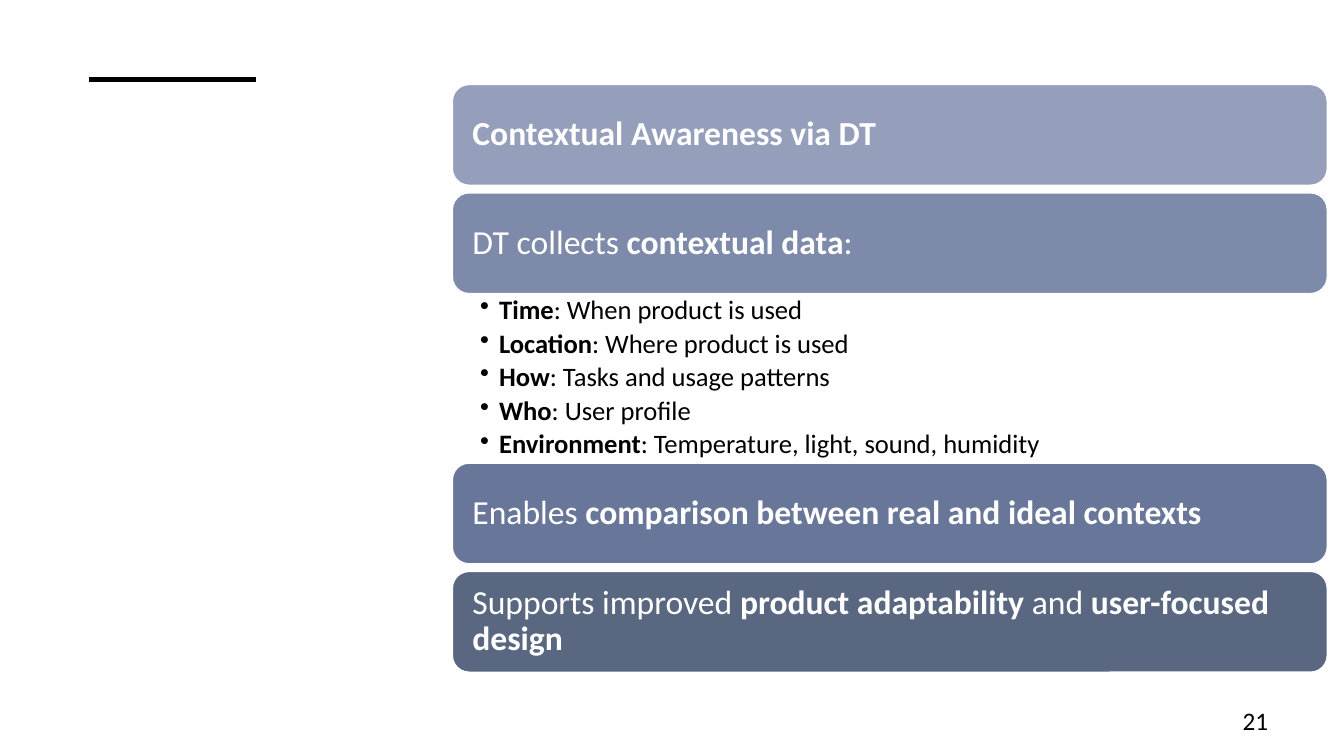
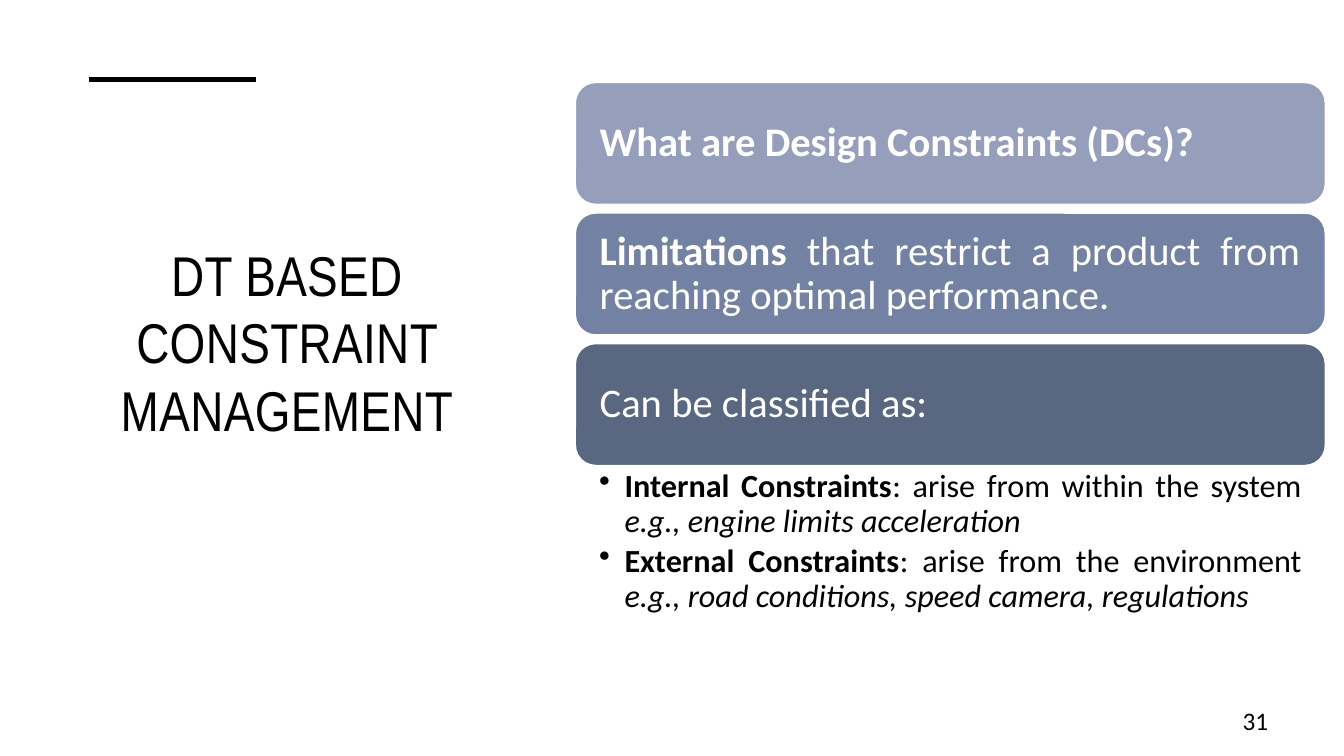
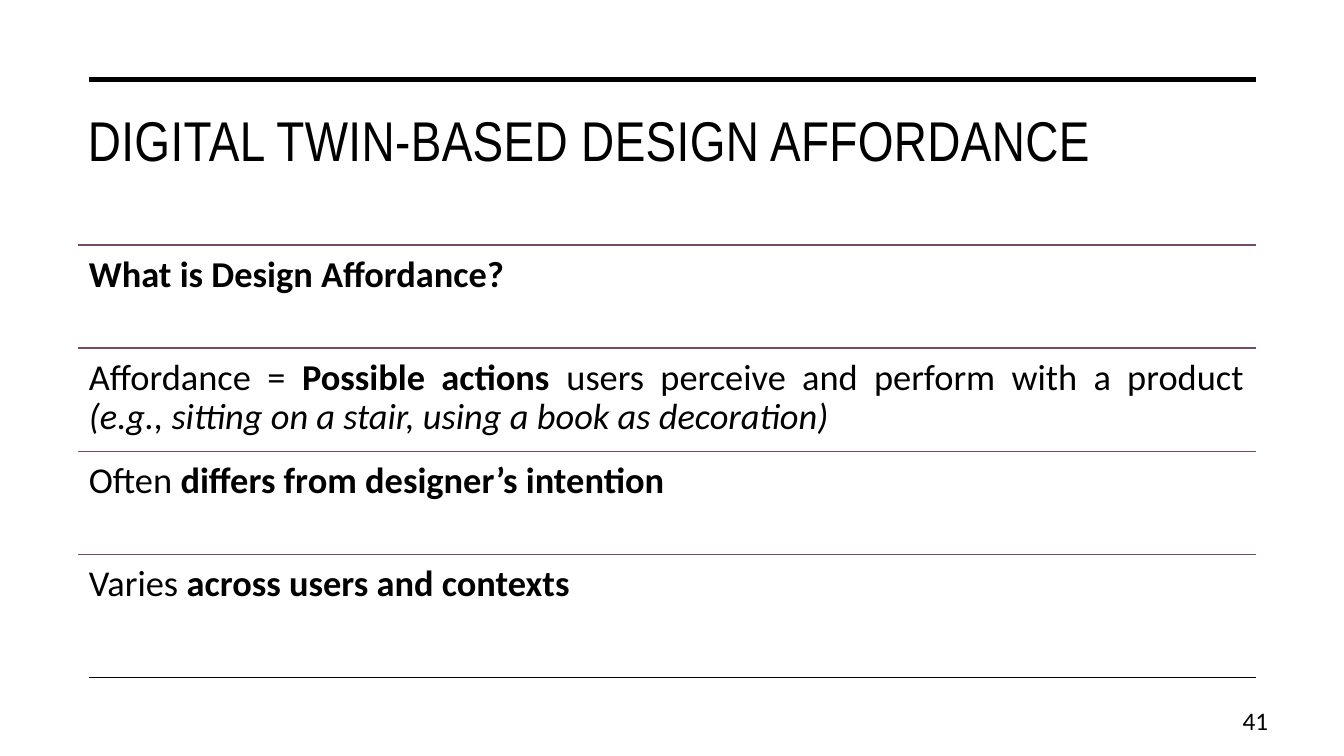
import pptx
import pptx.dml.color
import pptx.enum.shapes
import pptx.enum.text
import pptx.oxml.ns
import pptx.util
from lxml import etree

Cm = pptx.util.Cm
Pt = pptx.util.Pt
RGBColor = pptx.dml.color.RGBColor
Align = pptx.enum.text.PP_ALIGN
Anchor = pptx.enum.text.MSO_ANCHOR
qn = pptx.oxml.ns.qn

BLACK = RGBColor(0x00, 0x00, 0x00)
WHITE = RGBColor(0xFF, 0xFF, 0xFF)
LAVENDER = RGBColor(0x95, 0x9E, 0xBB)
BLUE_GREY = RGBColor(0x7E, 0x8A, 0xAA)
STEEL = RGBColor(0x73, 0x81, 0xA2)
INDIGO = RGBColor(0x68, 0x77, 0x99)
SLATE = RGBColor(0x59, 0x67, 0x81)
PLUM = RGBColor(0x73, 0x4B, 0x67)

TITLE_ONLY, BLANK = 5, 6
MARGIN_LEFT, MARGIN_RIGHT = 2.24, 31.65
ROW_LEFT = 1.96


def write(para, text, size=18, color=BLACK, font="Calibri", align=Align.LEFT, line_spacing=0.9):
    """Write text in a paragraph, with *bold* and _italic_ marks and line breaks."""
    para.alignment = align
    para.line_spacing = line_spacing
    for line_index, line in enumerate(text.split("\n")):
        if line_index:
            para.add_line_break()
        for bold_index, part in enumerate(line.split("*")):
            for italic_index, piece in enumerate(part.split("_")):
                if piece:
                    span = para.add_run()
                    span.text = piece
                    span.font.name = font
                    span.font.size = Pt(size)
                    span.font.color.rgb = color
                    span.font.bold = bold_index % 2 == 1
                    span.font.italic = italic_index % 2 == 1


class Deck:
    """Hold the shared style and the current slide."""

    def __init__(self):
        self.file = pptx.Presentation()
        self.file.slide_width = Cm(33.87)
        self.file.slide_height = Cm(19.05)
        self.page = None

    def new_page(self, number, layout=TITLE_ONLY, rule_right=6.45):
        """Start a slide with its top rule and page number."""
        self.page = self.file.slides.add_slide(self.file.slide_layouts[layout])
        self.rule(MARGIN_LEFT, rule_right, 2.01, weight=3.5)
        frame = self.text_box(30.33, 17.65, 1.88, 1.02, (0.25, 0.13, 0.25, 0.13))
        frame.vertical_anchor = Anchor.MIDDLE
        write(frame.paragraphs[0], str(number), align=Align.RIGHT, line_spacing=1.0)

    def title(self, text, left, top, width, height, align=Align.LEFT):
        """Place and format the title placeholder."""
        box = self.page.shapes.title
        box.left, box.top, box.width, box.height = Cm(left), Cm(top), Cm(width), Cm(height)
        frame = box.text_frame
        frame.auto_size = pptx.enum.text.MSO_AUTO_SIZE.NONE
        frame.word_wrap = True
        frame.vertical_anchor = Anchor.TOP
        para = frame.paragraphs[0]
        write(para, text, size=40, font="Arial Narrow", align=align, line_spacing=1.0)
        for span in para.runs:
            span.font._element.set("spc", "30")

    def rule(self, left, right, top, color=BLACK, weight=1):
        """Draw a horizontal line."""
        line = self.page.shapes.add_connector(
            pptx.enum.shapes.MSO_CONNECTOR.STRAIGHT, Cm(left), Cm(top), Cm(right), Cm(top))
        line.line.color.rgb = color
        line.line.width = Pt(weight)
        etree.SubElement(line._element.spPr, qn("a:effectLst"))

    def set_insets(self, frame, insets):
        """Wrap a text frame and set its left, top, right and bottom insets."""
        frame.word_wrap = True
        (frame.margin_left, frame.margin_top,
         frame.margin_right, frame.margin_bottom) = [Cm(inset) for inset in insets]

    def text_box(self, left, top, width, height, insets):
        """Add a text box and return its frame."""
        box = self.page.shapes.add_textbox(Cm(left), Cm(top), Cm(width), Cm(height))
        self.set_insets(box.text_frame, insets)
        return box.text_frame

    def card(self, text, left, top, width, height, fill, size, align=Align.LEFT):
        """Add a rounded card with white text."""
        box = self.page.shapes.add_shape(
            pptx.enum.shapes.MSO_SHAPE.ROUNDED_RECTANGLE,
            Cm(left), Cm(top), Cm(width), Cm(height))
        box.shadow.inherit = False
        box.fill.solid()
        box.fill.fore_color.rgb = fill
        box.line.color.rgb = WHITE
        box.line.width = Pt(1)
        inset = size * 0.016
        self.set_insets(box.text_frame, [inset] * 4)
        box.text_frame.vertical_anchor = Anchor.MIDDLE
        write(box.text_frame.paragraphs[0], text, size=size, color=WHITE, align=align)

    def cards(self, items, left, top, width, height, gap, size):
        """Stack cards of (text, fill, align) and return the bottom edge."""
        for index, (text, fill, align) in enumerate(items):
            card_top = top + index * (height + gap)
            self.card(text, left, card_top, width, height, fill, size, align)
        return card_top + height

    def bullets(self, texts, left, top, width, height, insets, size, indent, align=Align.LEFT):
        """Add a bulleted list."""
        frame = self.text_box(left, top, width, height, insets)
        for index, text in enumerate(texts):
            para = frame.add_paragraph() if index else frame.paragraphs[0]
            properties = para._p.get_or_add_pPr()
            properties.set("marL", str(Cm(indent)))
            properties.set("indent", str(-Cm(indent)))
            etree.SubElement(properties, qn("a:buChar")).set("char", "•")
            para.space_after = Pt(size * 0.18)
            write(para, text, size=size, align=align)

    def rows(self, items, top, pitch):
        """Add ruled rows of (text, align)."""
        for index, (text, align) in enumerate(items):
            row_top = top + index * pitch
            self.rule(ROW_LEFT, MARGIN_RIGHT, row_top, color=PLUM)
            frame = self.text_box(ROW_LEFT, row_top, MARGIN_RIGHT - ROW_LEFT, pitch, [0.28] * 4)
            write(frame.paragraphs[0], text, size=26, align=align)


def context_page(deck):
    """Build the contextual awareness slide."""
    deck.new_page(21, layout=BLANK)
    left, width, height, gap, size = 11.4, 22.05, 2.54, 0.19, 24
    list_height = 4.27
    list_top = deck.cards([
        ("*Contextual Awareness via DT*", LAVENDER, Align.LEFT),
        ("DT collects *contextual data*:", BLUE_GREY, Align.LEFT),
    ], left, 2.13, width, height, gap, size)
    deck.bullets([
        "*Time*: When product is used",
        "*Location*: Where product is used",
        "*How*: Tasks and usage patterns",
        "*Who*: User profile",
        "*Environment*: Temperature, light, sound, humidity",
    ], left, list_top, width, list_height, (0.7, 0.08, 0.48, 0.08), size=19, indent=0.48)
    deck.cards([
        ("Enables *comparison between real and ideal contexts*", INDIGO, Align.LEFT),
        ("Supports improved *product adaptability* and *user-focused design*", SLATE, Align.LEFT),
    ], left, list_top + list_height, width, height, gap, size)


def constraint_page(deck):
    """Build the constraint management slide."""
    deck.new_page(31)
    deck.title("DT BASED CONSTRAINT MANAGEMENT", 1.8, 5.94, 10.87, 5.59, align=Align.CENTER)
    left, width = 14.5, 18.9
    list_top = deck.cards([
        ("*What are Design Constraints (DCs)?*", LAVENDER, Align.LEFT),
        ("*Limitations* that restrict a product from reaching optimal performance.",
         STEEL, Align.JUSTIFY),
        ("Can be classified as:", SLATE, Align.LEFT),
    ], left, 2.08, width, height=3.07, gap=0.22, size=29)
    deck.bullets([
        "*Internal Constraints*: arise from within the system\n"
        "_e.g., engine limits acceleration_",
        "*External Constraints*: arise from the environment\n"
        "_e.g., road conditions, speed camera, regulations_",
    ], left, list_top, width, 5.51, (0.6, 0.1, 0.58, 0.1), size=23, indent=0.64,
        align=Align.JUSTIFY)


def affordance_page(deck):
    """Build the design affordance slide."""
    deck.new_page(41, rule_right=MARGIN_RIGHT)
    deck.rule(MARGIN_LEFT, MARGIN_RIGHT, 17.07)
    deck.title("DIGITAL TWIN-BASED DESIGN AFFORDANCE",
               ROW_LEFT, 2.54, MARGIN_RIGHT - ROW_LEFT, 3.63)
    deck.rows([
        ("*What is Design Affordance?*", Align.LEFT),
        ("Affordance = *Possible actions* users perceive and perform with a product\n"
         "_(e.g., sitting on a stair, using a book as decoration)_", Align.JUSTIFY),
        ("Often *differs from designer’s intention*", Align.LEFT),
        ("Varies *across users and contexts*", Align.LEFT),
    ], top=6.17, pitch=2.6)


def main():
    """Build and save the deck."""
    deck = Deck()
    context_page(deck)
    constraint_page(deck)
    affordance_page(deck)
    deck.file.save("out.pptx")


if __name__ == "__main__":
    main()
